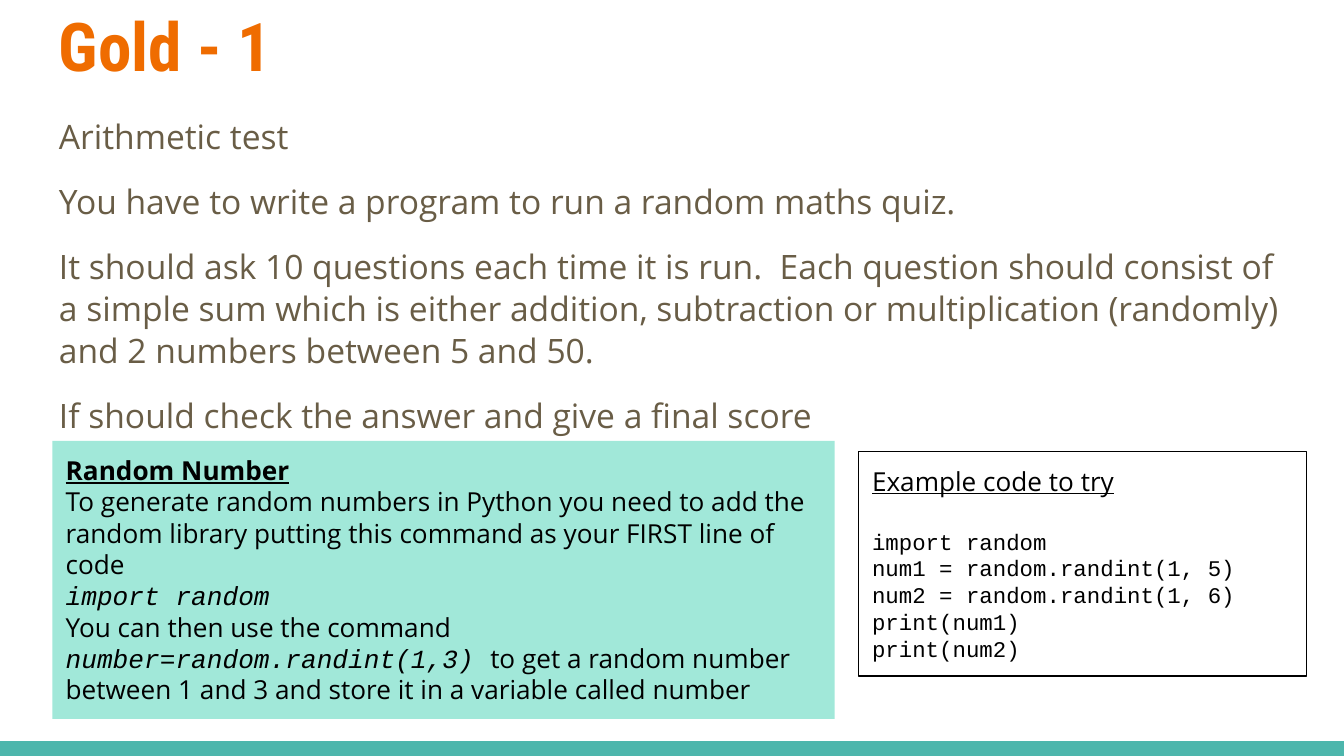
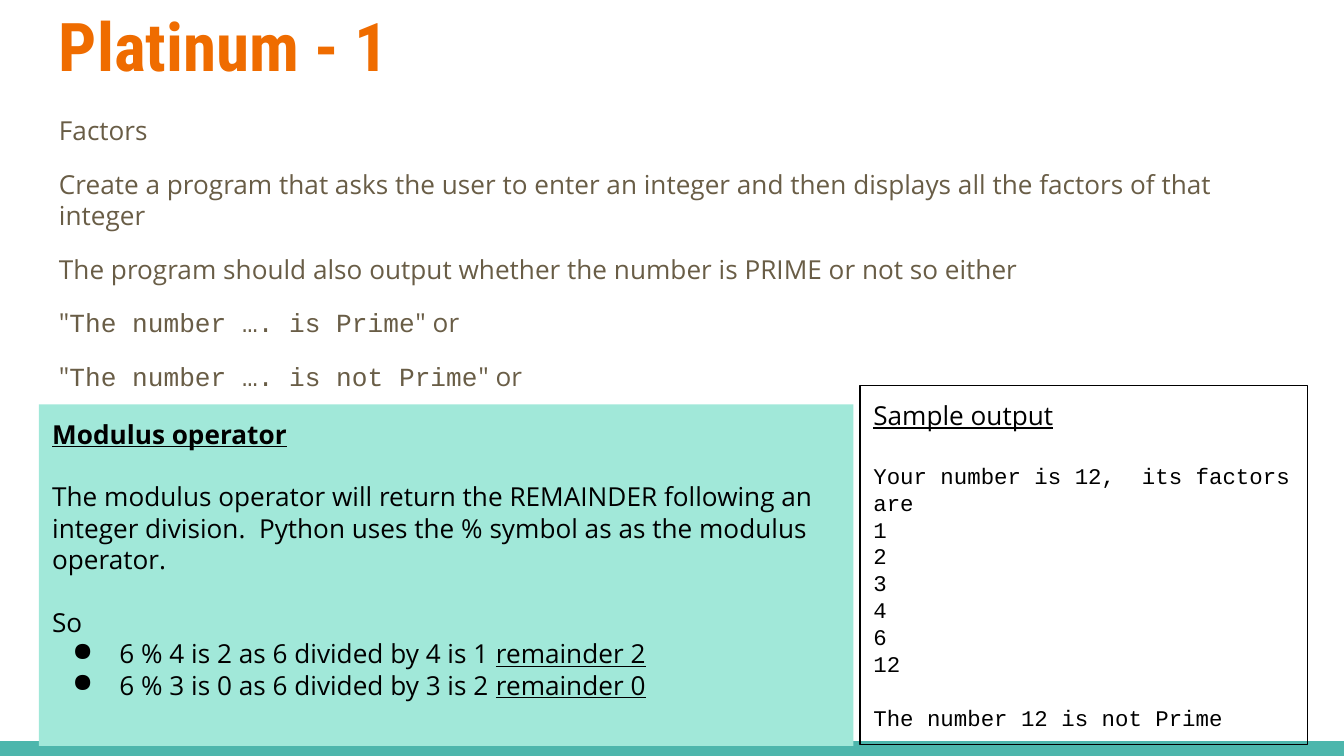
"""Build two Python challenge slides: Gold and Platinum."""
from lxml import etree
from pptx import Presentation
from pptx import util as u
from pptx.dml import color
from pptx.enum import shapes, text
from pptx.oxml import ns

HUES = {"band": "4DB6AC", "title": "EF6C00", "body": "695D46",
        "note": "A1E8D9", "ink": "000000"}
HEAD, SANS, MONO = "Roboto Condensed", "Open Sans", "Courier New"
WIDE, HIGH = u.Inches(10), u.Inches(5.625)
CELL = WIDE // 100
ROWS = HIGH / CELL
LINE, CODE = 16.8, 14.4


def block(slide, area, fill=None, line=None):
    """Add a rectangle placed in grid cells: column, row, columns, rows."""
    box = slide.shapes.add_shape(shapes.MSO_SHAPE.RECTANGLE,
                                 *(int(n * CELL) for n in area))
    box.shadow.inherit = False
    for part, hue in ((box.fill, fill), (box.line.fill, line)):
        if hue:
            part.solid()
            part.fore_color.rgb = color.RGBColor.from_string(HUES[hue])
        else:
            part.background()
    if line:
        box.line.width = u.Pt(0.75)
    return box


def write(box, paras, hue, size, face=SANS, lead=1.0, grow=False):
    """Fill a box; marks: b bold, u underline, i italic, m mono, s small, * bullet."""
    frame = box.text_frame
    frame.word_wrap = True
    frame.vertical_anchor = text.MSO_ANCHOR.TOP
    frame.margin_left = frame.margin_right = CELL
    frame.margin_top = frame.margin_bottom = CELL
    if grow:
        frame.auto_size = text.MSO_AUTO_SIZE.SHAPE_TO_FIT_TEXT
    for n, (gap, *runs) in enumerate(paras):
        para = frame.paragraphs[0] if n == 0 else frame.add_paragraph()
        para.alignment = text.PP_ALIGN.LEFT
        para.line_spacing = lead
        para.space_before = u.Pt(gap)
        first = runs[0][1]
        para.font.size = u.Pt(12 if "s" in first else size)
        para.font.color.rgb = color.RGBColor.from_string(HUES[hue])
        for words, marks in runs:
            run = para.add_run()
            run.text = words
            font = para.font if len(runs) == 1 else run.font
            font.name = MONO if "m" in marks else face
            font.bold, font.italic = "b" in marks, "i" in marks
            font.underline = "u" in marks
        if "*" in first:
            props = para._p.get_or_add_pPr()
            props.set("marL", str(5 * CELL))
            props.set("indent", str(int(-3.5 * CELL)))
            dot = etree.Element(ns.qn("a:buChar"), char="●")
            props.find(ns.qn("a:defRPr")).addprevious(dot)


PAGES = [
    {"title": "Gold - 1", "size": 18, "lead": 1.05, "rows": 26.7,
     "body": [
         (0, ("Arithmetic test", "")),
         (12, ("You have to write a program to run a random maths quiz.", "")),
         (12, ("It should ask 10 questions each time it is run.  Each question "
               "should consist of a simple sum which is either addition, "
               "subtraction or multiplication (randomly) and 2 numbers "
               "between 5 and 50.", "")),
         (12, ("If should check the answer and give a final score", ""))],
     "note": (3.9, 32.8, 58.2, 20.7),
     "tip": [
         (0, ("Random Number", "bu")),
         (0, ("To generate random numbers in Python you need to add the random "
              "library putting this command as your FIRST line of code", "")),
         (0, ("import random", "mi")),
         (0, ("You can then use the command", "")),
         (0, ("number=random.randint(1,3) ", "mi"),
          ("to get a random number between 1 and 3 and store it in a "
           "variable called number", ""))],
     "pane": (63.9, 33.6, 33.3, 16.7),
     "code": [
         (0, ("Example code to try", "u")),
         (LINE, ("import random", "ms")),
         *((0, (row, "ms")) for row in (
             "num1 = random.randint(1, 5)", "num2 = random.randint(1, 6)",
             "print(num1)", "print(num2)"))]},
    {"title": "Platinum - 1", "size": 14, "lead": 1.0, "rows": 22.6,
     "body": [
         (0, ("Factors", "")),
         (12, ("Create a program that asks the user to enter an integer and "
               "then displays all the factors of that integer", "")),
         (12, ("The program should also output whether the number is PRIME "
               "or not so either", "")),
         *((12, ('"', ""), (f"The number …. is {kind}", "m"), ('" or', ""))
           for kind in ("Prime", "not Prime"))],
     "note": (2.9, 30.1, 60.6, 25.4),
     "tip": [
         (0, ("Modulus operator", "bu")),
         (LINE, ("The modulus operator will return the REMAINDER following an "
                 "integer division.  Python uses the % symbol as as the "
                 "modulus operator.", "")),
         (LINE, ("So", "")),
         *((0, (f"6 % {by} is {left} as 6 divided by {by} is {whole} ", "*"),
            (f"remainder {left}", "u"))
           for by, whole, left in ((4, 1, 2), (3, 2, 0)))],
     "pane": (64, 28.7, 33.3, 26.7),
     "code": [
         (0, ("Sample output", "u")),
         (LINE, ("Your number is 12,  its factors are", "ms")),
         *((0, (str(num), "ms")) for num in (1, 2, 3, 4, 6, 12)),
         (CODE, ("The number 12 is not Prime", "ms"))]},
]

deck = Presentation()
deck.slide_width, deck.slide_height = WIDE, HIGH
for page in PAGES:
    slide = deck.slides.add_slide(deck.slide_layouts[6])
    block(slide, (0, ROWS - 1.1, 100, 1.1), fill="band")
    for area, paras, style in (
            ((3.4, 0, 93.2, 7.7), [(0, (page["title"], "b"))],
             ("title", 36, HEAD, 0.9)),
            ((3.4, 7.5, 93.2, page["rows"]), page["body"],
             ("body", page["size"], SANS, page["lead"]))):
        box = slide.shapes.add_textbox(*(int(n * CELL) for n in area))
        write(box, paras, *style)
    write(block(slide, page["note"], fill="note"), page["tip"], "ink", 14, grow=True)
    write(block(slide, page["pane"], line="ink"), page["code"], "ink", 14, grow=True)

deck.save("out.pptx")
